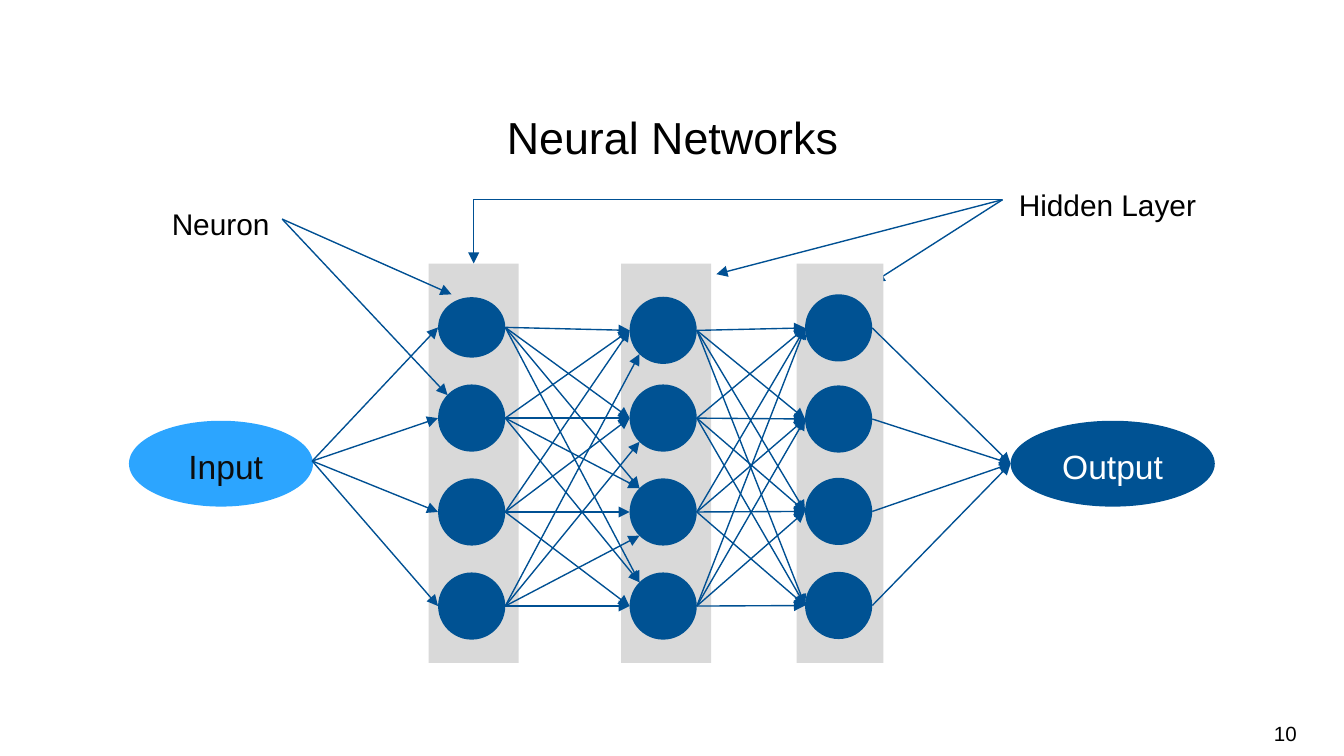
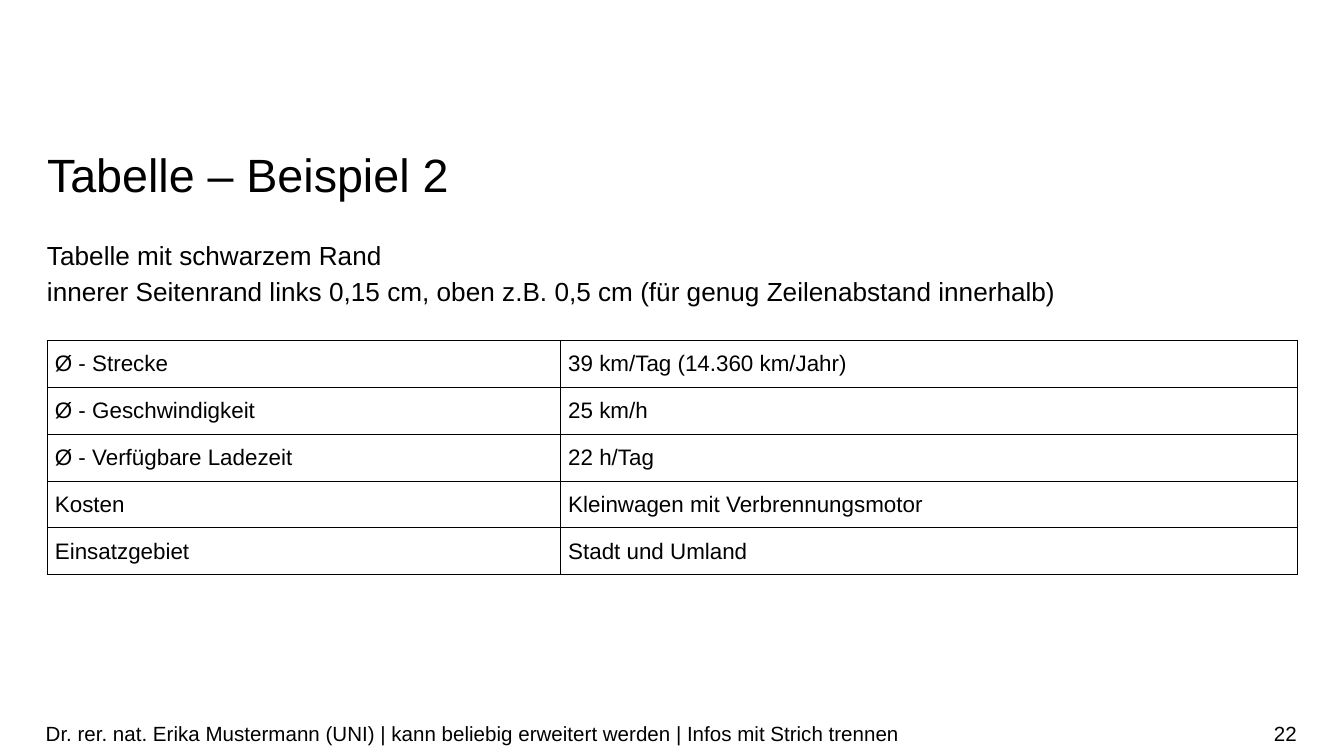
from lxml.etree import SubElement
from pptx import Presentation
from pptx.dml.color import RGBColor
from pptx.enum.shapes import MSO_CONNECTOR, MSO_SHAPE
from pptx.enum.text import MSO_ANCHOR, MSO_AUTO_SIZE, PP_ALIGN
from pptx.oxml.ns import qn
from pptx.util import Pt

FONT = "Arial"
BLACK = RGBColor(0x00, 0x00, 0x00)
NEAR_BLACK = RGBColor(0x0D, 0x0D, 0x0D)
WHITE = RGBColor(0xFF, 0xFF, 0xFF)
GREY = RGBColor(0xD9, 0xD9, 0xD9)
DARK_BLUE = RGBColor(0x00, 0x52, 0x93)
LINE_BLUE = RGBColor(0x00, 0x50, 0x93)
LIGHT_BLUE = RGBColor(0x2C, 0xA5, 0xFF)

MARGIN = 25.2
CONTENT_WIDTH = 670
FOOTER_TOP, FOOTER_HEIGHT = 382.3, 21.6
LINE_SPACING = 1.14

# Network slide
NETWORK_TITLE = "Neural Networks"
NEURON_SIZE = 36
CORNER_INSET = 5.3
BAND_TOP, BAND_HEIGHT = 141.2, 214
LAYERS = [
    {"band": (229.7, 48.2), "left": 234.7, "centres": (175.4, 224, 274.3, 324.7),
     "first_height": 32.4},
    {"band": (332.8, 48.2), "left": 337.3, "centres": (177, 224, 274.3, 324.7)},
    {"band": (426.8, 46.5), "left": 431.3, "centres": (175.7, 224.5, 274, 324.4)},
]
# One row per source neuron, one letter per target:
# L = left middle, T = upper left, B = lower left
FIRST_LINKS = ["LLTT", "LLTT", "LLLL", "BBBL"]
SECOND_LINKS = ["LLLL"] * 4
INPUT_BOX = (69.1, 225.4, 98.6, 46)
INPUT_EXIT = (167.3, 247)
OUTPUT_BOX = (541.4, 225.4, 109.4, 46)
OUTPUT_ENTRY = (541.4, 248.4)
HIDDEN_LABEL = ("Hidden Layer", (545.8, 97.2, 104.4, 21.6))
HIDDEN_START = (537.1, 107)
HIDDEN_ENDS = [(468, 151.2), (383.8, 146.9)]
NEURON_LABEL = ("Neuron", (92, 107.3, 74, 21.6))
NEURON_START = (151.2, 117.4)
NEURON_ENDS = [(241.9, 157.7), (239.8, 211.7)]

# Table slide
TABLE_TITLE = "Tabelle – Beispiel 2"
TABLE_INTRO = ("Tabelle mit schwarzem Rand\n"
               "innerer Seitenrand links 0,15 cm, oben z.B. 0,5 cm "
               "(für genug Zeilenabstand innerhalb)")
TABLE_ROWS = [
    ("Ø - Strecke", "39 km/Tag (14.360 km/Jahr)"),
    ("Ø - Geschwindigkeit", "25 km/h"),
    ("Ø - Verfügbare Ladezeit", "22 h/Tag"),
    ("Kosten", "Kleinwagen mit Verbrennungsmotor"),
    ("Einsatzgebiet", "Stadt und Umland"),
]
COLUMN_WIDTHS = (275, 395)
ROW_HEIGHT = 25.1
TABLE_TOP = 182.4
FOOTER = ("Dr. rer. nat. Erika Mustermann (UNI) | kann beliebig erweitert werden"
          " | Infos mit Strich trennen")


def points(*values):
    return [Pt(value) for value in values]


def write(frame, text, size=12, colour=BLACK, align=PP_ALIGN.LEFT,
          anchor=MSO_ANCHOR.TOP, margins=(0, 0, 0, 0), spacing=None):
    """Fill a text frame, one paragraph per line; margins are left, top, right, bottom."""
    frame.word_wrap = True
    frame.auto_size = MSO_AUTO_SIZE.NONE
    frame.vertical_anchor = anchor
    (frame.margin_left, frame.margin_top,
     frame.margin_right, frame.margin_bottom) = points(*margins)
    for index, line in enumerate(text.split("\n")):
        paragraph = frame.add_paragraph() if index else frame.paragraphs[0]
        paragraph.alignment = align
        paragraph.line_spacing = spacing
        run = paragraph.add_run()
        run.text = line
        run.font.name = FONT
        run.font.size = Pt(size)
        run.font.color.rgb = colour


def add_text(slide, text, box, **text_format):
    write(slide.shapes.add_textbox(*points(*box)).text_frame, text, **text_format)


def add_filled(slide, kind, box, colour):
    shape = slide.shapes.add_shape(kind, *points(*box))
    shape.shadow.inherit = False
    shape.fill.solid()
    shape.fill.fore_color.rgb = colour
    shape.line.fill.background()
    return shape


def add_arrow(slide, start, end, kind=MSO_CONNECTOR.STRAIGHT):
    connector = slide.shapes.add_connector(kind, *points(*start, *end))
    connector.line.color.rgb = LINE_BLUE
    connector.line.width = Pt(0.75)
    SubElement(connector.line._get_or_add_ln(), qn("a:tailEnd"), type="triangle")
    SubElement(connector._element.spPr, qn("a:effectLst"))
    return connector


def add_titled_slide(presentation, title, top, size, number, align=PP_ALIGN.LEFT):
    slide = presentation.slides.add_slide(presentation.slide_layouts[5])
    placeholder = slide.shapes.title
    (placeholder.left, placeholder.top,
     placeholder.width, placeholder.height) = points(MARGIN, top, CONTENT_WIDTH, 32)
    write(placeholder.text_frame, title, size=size, align=align, spacing=Pt(32))
    add_footer_text(slide, number, 533.5, 161.3, PP_ALIGN.RIGHT)
    return slide


def add_footer_text(slide, text, left, width, align=PP_ALIGN.LEFT):
    add_text(slide, text, (left, FOOTER_TOP, width, FOOTER_HEIGHT), size=11,
             align=align, anchor=MSO_ANCHOR.MIDDLE, margins=(0, 3.6, 0, 3.6))


def add_layer(slide, layer):
    left, width = layer["band"]
    band = add_filled(slide, MSO_SHAPE.RECTANGLE,
                      (left, BAND_TOP, width, BAND_HEIGHT), GREY)
    for index, centre in enumerate(layer["centres"]):
        height = NEURON_SIZE if index else layer.get("first_height", NEURON_SIZE)
        add_filled(slide, MSO_SHAPE.FLOWCHART_CONNECTOR,
                   (layer["left"], centre - height / 2, NEURON_SIZE, height), DARK_BLUE)
    return band


def entry_point(layer, index, site="L"):
    rise = NEURON_SIZE / 2 - CORNER_INSET
    shift_x, shift_y = {"L": (0, 0), "T": (CORNER_INSET, -rise),
                        "B": (CORNER_INSET, rise)}[site]
    return layer["left"] + shift_x, layer["centres"][index] + shift_y


def exit_point(layer, index):
    return layer["left"] + NEURON_SIZE, layer["centres"][index]


def link_layers(slide, source, target, links):
    for source_index, sites in enumerate(links):
        for target_index, site in enumerate(sites):
            add_arrow(slide, exit_point(source, source_index),
                      entry_point(target, target_index, site))


def add_end_node(slide, text, box, fill, colour, left_margin=7.2):
    node = add_filled(slide, MSO_SHAPE.OVAL, box, fill)
    write(node.text_frame, text, size=18, colour=colour, align=PP_ALIGN.CENTER,
          anchor=MSO_ANCHOR.MIDDLE, margins=(left_margin, 3.6, 7.2, 3.6),
          spacing=LINE_SPACING)


def build_network_slide(presentation):
    slide = add_titled_slide(presentation, NETWORK_TITLE, 55.4, 24, "10",
                             PP_ALIGN.CENTER)
    first, second, third = LAYERS
    first_band = add_layer(slide, first)
    add_layer(slide, second)
    link_layers(slide, first, second, FIRST_LINKS)

    add_end_node(slide, "Input", INPUT_BOX, LIGHT_BLUE, NEAR_BLACK, left_margin=12.2)
    add_end_node(slide, "Output", OUTPUT_BOX, DARK_BLUE, WHITE)

    for text, box in (HIDDEN_LABEL, NEURON_LABEL):
        add_text(slide, text, box, size=16, spacing=LINE_SPACING)
    for start, ends in ((HIDDEN_START, HIDDEN_ENDS), (NEURON_START, NEURON_ENDS)):
        for end in ends:
            add_arrow(slide, start, end)
    band_left, band_width = first["band"]
    elbow = add_arrow(slide, HIDDEN_START, (band_left + band_width / 2, BAND_TOP),
                      MSO_CONNECTOR.ELBOW)
    elbow._element.spPr.find(qn("a:prstGeom")).set("prst", "bentConnector2")
    elbow.end_connect(first_band, 0)

    add_layer(slide, third)
    link_layers(slide, second, third, SECOND_LINKS)
    for index in range(len(first["centres"])):
        add_arrow(slide, INPUT_EXIT, entry_point(first, index))
        add_arrow(slide, exit_point(third, index), OUTPUT_ENTRY)


def add_cell_borders(cell):
    properties = cell._tc.get_or_add_tcPr()
    for side in ("lnL", "lnR", "lnT", "lnB"):
        border = SubElement(properties, qn(f"a:{side}"), w=str(Pt(0.45)))
        fill = SubElement(border, qn("a:solidFill"))
        SubElement(fill, qn("a:srgbClr"), val=str(BLACK))


def add_bordered_table(slide):
    table = slide.shapes.add_table(
        len(TABLE_ROWS), len(COLUMN_WIDTHS),
        *points(MARGIN, TABLE_TOP, CONTENT_WIDTH, ROW_HEIGHT * len(TABLE_ROWS))).table
    table.first_row = table.horz_banding = False
    for column, width in zip(table.columns, COLUMN_WIDTHS):
        column.width = Pt(width)
    for row, texts in zip(table.rows, TABLE_ROWS):
        row.height = Pt(ROW_HEIGHT)
        for cell, text in zip(row.cells, texts):
            paragraph = cell.text_frame.paragraphs[0]
            run = paragraph.add_run()
            run.text = text
            run.font.name, run.font.size = FONT, Pt(12)
            run.font.color.rgb = BLACK
            cell.vertical_anchor = MSO_ANCHOR.MIDDLE
            cell.margin_left, cell.margin_right = points(4.25, 7.2)
            cell.margin_top, cell.margin_bottom = points(3.6, 3.6)
            add_cell_borders(cell)
            cell.fill.background()


def build_table_slide(presentation):
    slide = add_titled_slide(presentation, TABLE_TITLE, 76.3, 25, "22")
    add_bordered_table(slide)
    add_footer_text(slide, FOOTER, 24.5, 509)
    add_text(slide, TABLE_INTRO, (MARGIN, 126, CONTENT_WIDTH, 39.6), size=14,
             spacing=LINE_SPACING)


def main():
    presentation = Presentation()
    presentation.slide_width, presentation.slide_height = points(720, 405)
    build_network_slide(presentation)
    build_table_slide(presentation)
    presentation.save("out.pptx")


if __name__ == "__main__":
    main()
